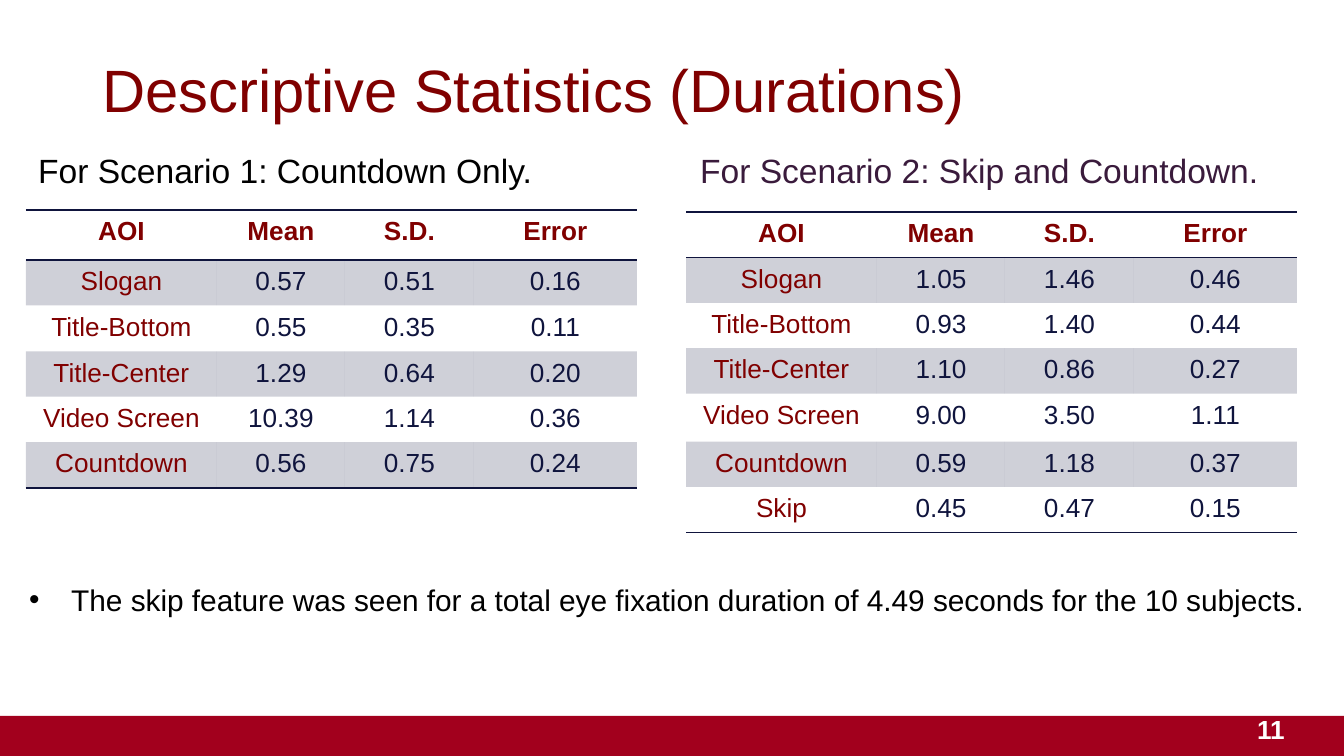
from pptx import Presentation
from pptx.dml.color import RGBColor
from pptx.enum.shapes import MSO_SHAPE
from pptx.enum.text import MSO_ANCHOR, PP_ALIGN
from pptx.oxml import parse_xml
from pptx.oxml.ns import nsdecls, qn
from pptx.util import Pt

PX = 914400 / 134.4
COLORS = {
    "band": "A2001D",
    "maroon": "800000",
    "navy": "0F143D",
    "plum": "3A1B3C",
    "black": "000000",
    "white": "FFFFFF",
}
PLAIN = "{2D5ABB26-0587-4C30-8999-92F81FD0307C}"  # no style, no grid


def px(*sizes):
    """Turn pixel lengths into EMU."""
    return [round(size * PX) for size in sizes]


def write(frame, text, size=14, color="black", bold=False,
          align=PP_ALIGN.LEFT, anchor=MSO_ANCHOR.TOP):
    frame.word_wrap = True
    frame.vertical_anchor = anchor
    par = frame.paragraphs[0]
    par.alignment = align
    run = par.add_run()
    run.text = text
    font = run.font
    font.name, font.size, font.bold = "Arial", Pt(size), bold
    font.color.rgb = RGBColor.from_string(COLORS[color])
    return par


deck = Presentation()
deck.slide_width, deck.slide_height = px(1344, 756)
slide = deck.slides.add_slide(deck.slide_layouts[6])
shapes = slide.shapes

# Footer band
band = shapes.add_shape(MSO_SHAPE.RECTANGLE, *px(0, 716, 1344, 40))
band.shadow.inherit = False
band.fill.solid()
band.fill.fore_color.rgb = RGBColor.from_string(COLORS["band"])
band.line.fill.background()

# Title, page number, table headings and closing point
middle = MSO_ANCHOR.MIDDLE
labels = [
    ((89, 34, 1210, 109), "Descriptive Statistics (Durations)",
     dict(size=32, color="maroon", anchor=middle)),
    ((1141, 711, 157, 37), "11",
     dict(color="white", bold=True, align=PP_ALIGN.RIGHT, anchor=middle)),
    ((25, 143, 923, 54), "For Scenario 1: Countdown Only.", dict(size=18)),
    ((687, 143, 598, 64), "For Scenario 2: Skip and Countdown.",
     dict(size=18, color="plum")),
    ((16, 575, 1347, 46),
     "The skip feature was seen for a total eye fixation duration of "
     "4.49 seconds for the 10 subjects.", dict(size=16)),
]
for place, text, form in labels:
    par = write(shapes.add_textbox(*px(*place)).text_frame, text, **form)

# The closing point is the last label
props = par._p.get_or_add_pPr()
indent = px(42)[0]
props.set("marL", str(indent))
props.set("indent", str(-indent))
props.append(parse_xml(f'<a:buFont {nsdecls("a")} typeface="Arial"/>'))
props.append(parse_xml(f'<a:buChar {nsdecls("a")} char="•"/>'))

# Tables
head = ("AOI", "Mean", "S.D.", "Error")
widths = (191, 128, 129, 163)
tables = [
    (26, 210, (50, 45, 46, 45, 45, 46), [
        head,
        ("Slogan", "0.57", "0.51", "0.16"),
        ("Title-Bottom", "0.55", "0.35", "0.11"),
        ("Title-Center", "1.29", "0.64", "0.20"),
        ("Video Screen", "10.39", "1.14", "0.36"),
        ("Countdown", "0.56", "0.75", "0.24"),
    ]),
    (686, 212, (43, 43, 43, 43, 48, 43, 43), [
        head,
        ("Slogan", "1.05", "1.46", "0.46"),
        ("Title-Bottom", "0.93", "1.40", "0.44"),
        ("Title-Center", "1.10", "0.86", "0.27"),
        ("Video Screen", "9.00", "3.50", "1.11"),
        ("Countdown", "0.59", "1.18", "0.37"),
        ("Skip", "0.45", "0.47", "0.15"),
    ]),
]
for left, top, heights, rows in tables:
    place = px(left, top, sum(widths), sum(heights))
    table = shapes.add_table(len(rows), len(head), *place).table
    table.first_row = table.horz_banding = False
    table._tbl.tblPr.find(qn("a:tableStyleId")).text = PLAIN
    for col, width in zip(table.columns, px(*widths)):
        col.width = width
    for row, height in zip(table.rows, px(*heights)):
        row.height = height

    for r, row in enumerate(rows):
        for c, text in enumerate(row):
            cell = table.cell(r, c)
            cell.margin_left, cell.margin_right = px(13, 13)
            cell.margin_top, cell.margin_bottom = px(7, 7)
            write(cell.text_frame, text, bold=r == 0, align=PP_ALIGN.CENTER,
                  color="maroon" if r == 0 or c == 0 else "navy")
            props = cell._tc.get_or_add_tcPr()
            if r % 2:
                cell.fill.solid()
                cell.fill.fore_color.rgb = RGBColor.from_string(COLORS["navy"])
                tint = props.find(qn("a:solidFill"))[0]
                tint.append(parse_xml(
                    f'<a:alpha {nsdecls("a")} val="20000"/>'))
            else:
                cell.fill.background()
            # Rules go around the head and under the last row
            sides = {0: ("lnB", "lnT"), len(rows) - 1: ("lnB",)}
            for side in sides.get(r, ()):
                props.insert(0, parse_xml(
                    f'<a:{side} {nsdecls("a")} w="12700"><a:solidFill>'
                    f'<a:srgbClr val="{COLORS["navy"]}"/></a:solidFill>'
                    f'</a:{side}>'))

deck.save("out.pptx")
